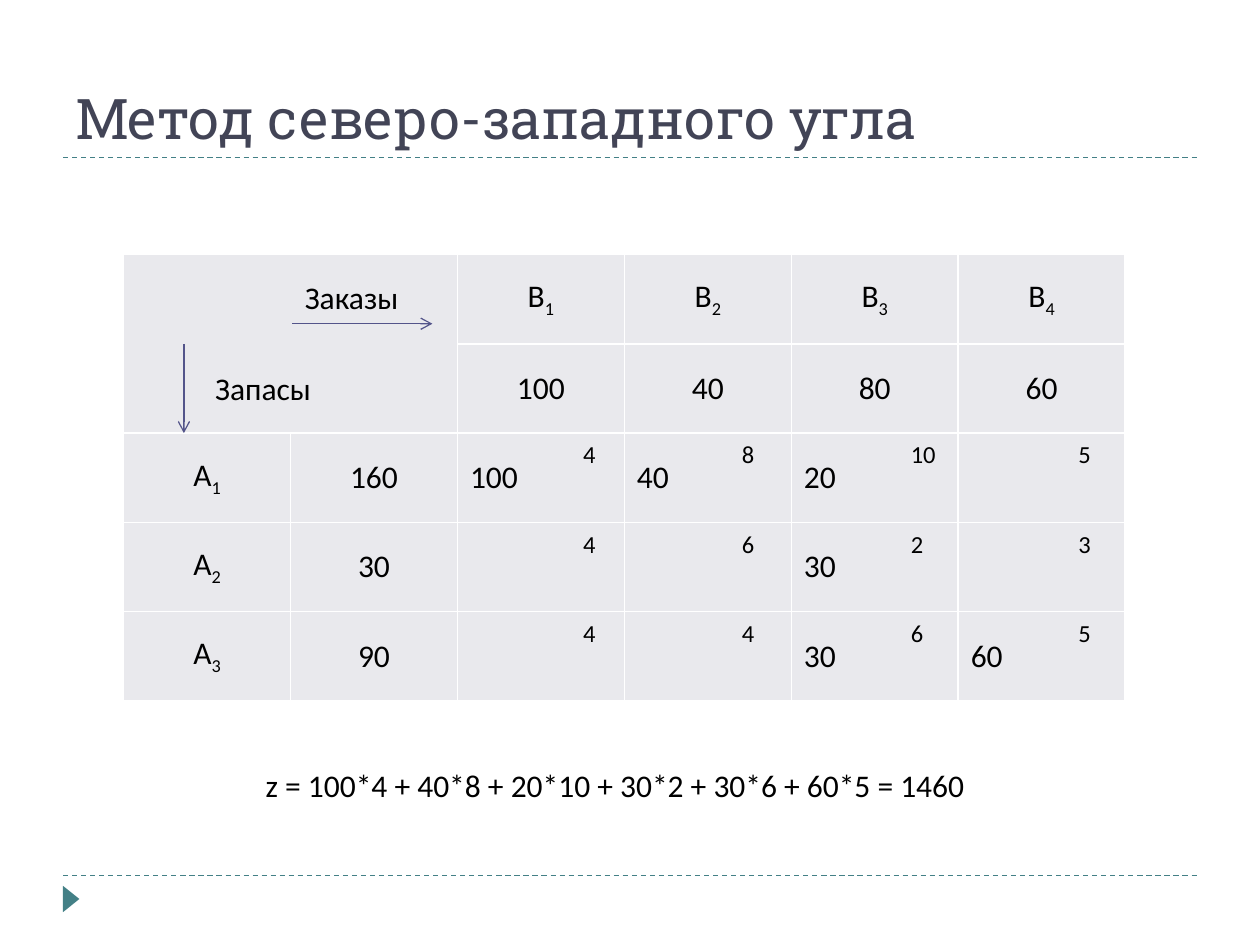
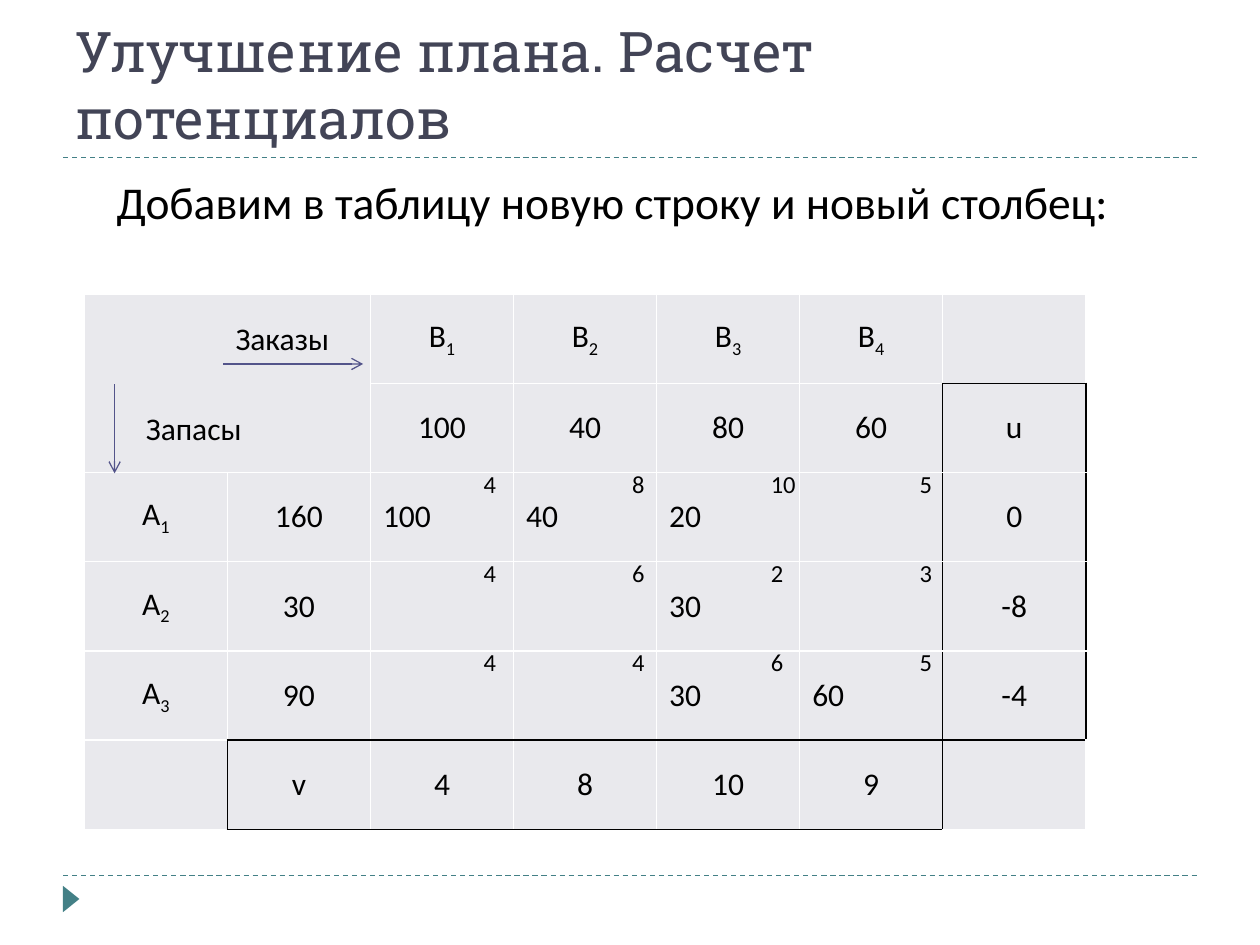
from pptx import Presentation
from pptx.dml.color import RGBColor
from pptx.enum.dml import MSO_LINE
from pptx.enum.shapes import MSO_CONNECTOR, MSO_SHAPE
from pptx.enum.text import MSO_ANCHOR, MSO_AUTO_SIZE, PP_ALIGN
from pptx.oxml import parse_xml
from pptx.oxml.ns import nsdecls
from pptx.util import Pt

TEAL = RGBColor(0x43, 0x80, 0x86)
SLATE = RGBColor(0x42, 0x44, 0x56)
INDIGO = RGBColor(0x53, 0x54, 0x8A)
GREY = RGBColor(0xE9, 0xE9, 0xED)
WHITE = RGBColor(0xFF, 0xFF, 0xFF)
BLACK = RGBColor(0, 0, 0)
LEFT, CENTER = PP_ALIGN.LEFT, PP_ALIGN.CENTER
TOP, MIDDLE, BOTTOM = MSO_ANCHOR.TOP, MSO_ANCHOR.MIDDLE, MSO_ANCHOR.BOTTOM
FIT, FIXED = MSO_AUTO_SIZE.SHAPE_TO_FIT_TEXT, MSO_AUTO_SIZE.NONE
DASH = MSO_LINE.DASH
STRAIGHT = MSO_CONNECTOR.STRAIGHT
TRIANGLE = MSO_SHAPE.ISOSCELES_TRIANGLE

ROW = 51
WIDTH = 572.4
SIDES = {"L": (0, -1), "R": (0, 1), "T": (-1, 0), "B": (1, 0)}
PLAN = [
    ["", "", "B_1", "B_2", "B_3", "B_4"],
    ["", "", "100", "40", "80", "60"],
    ["A_1", "160", "100", "40", "20", ""],
    ["A_2", "30", "", "", "30", ""],
    ["A_3", "90", "", "", "30", "60"],
]
COSTS = [[4, 8, 10, 5], [4, 6, 2, 3], [4, 4, 6, 5]]
U_COL = ["", "u", "0", "-8", "-4"]
V_ROW = ["", "v", "4", "8", "10", "9", ""]
U_BOX = (1, 6, 4, 6)
V_BOX = (5, 1, 5, 5)


def write(frame, text, size=18, font="Calibri", color=BLACK, align=LEFT):
    para = frame.paragraphs[0]
    para.alignment = align
    base, mark, index = text.partition("_")
    for part, low in ((base, False), (index, True)):
        if part:
            run = para.add_run()
            run.text = part
            run.font.size = Pt(size)
            run.font.name = font
            run.font.color.rgb = color
            if low:
                run._r.get_or_add_rPr().set("baseline", "-25000")
    return para


def label(slide, box, text, wrap=True, **style):
    frame = slide.shapes.add_textbox(*map(Pt, box)).text_frame
    frame.word_wrap = wrap
    frame.auto_size = FIT
    frame.vertical_anchor = TOP
    return write(frame, text, **style)


def rule(slide, ends, color, dash=None, arrow=False):
    line = slide.shapes.add_connector(STRAIGHT, *map(Pt, ends))
    line.line.color.rgb = color
    line.line.width = Pt(0.75)
    if dash:
        line.line.dash_style = dash
    if arrow:
        tail = parse_xml(f'<a:tailEnd {nsdecls("a")} type="arrow"/>')
        line.line._get_or_add_ln().append(tail)
    line._element.spPr.append(parse_xml(f'<a:effectLst {nsdecls("a")}/>'))


def start(deck, text):
    slide = deck.slides.add_slide(deck.slide_layouts[5])
    for y in (500.4, 90):
        rule(slide, (36, y, 684, y), TEAL, dash=DASH)
    mark = slide.shapes.add_shape(TRIANGLE, Pt(33.1), Pt(509), Pt(15.1), Pt(9.4))
    mark.rotation = 90
    mark.shadow.inherit = False
    mark.fill.solid()
    mark.fill.fore_color.rgb = TEAL
    mark.line.fill.background()
    title = slide.shapes.title
    title.left, title.top, title.width, title.height = map(Pt, (36, 12.2, 648, 77.8))
    frame = title.text_frame
    frame.word_wrap = True
    frame.auto_size = FIXED
    frame.vertical_anchor = BOTTOM
    write(frame, text, size=32, font="Roboto Slab", color=SLATE)
    return slide


def inside(box, row, col):
    return box[0] <= row <= box[2] and box[1] <= col <= box[3]


def border(cell, row, col, frames):
    props = cell._tc.get_or_add_tcPr()
    for side, (down, right) in SIDES.items():
        dark = any(
            inside(box, row, col) != inside(box, row + down, col + right)
            for box in frames
        )
        color = BLACK if dark else WHITE
        props.append(parse_xml(
            f'<a:ln{side} {nsdecls("a")} w="12700"><a:solidFill>'
            f'<a:srgbClr val="{color}"/></a:solidFill></a:ln{side}>'
        ))


def grid(slide, left, top, rows, frames=()):
    count = len(rows[0])
    box = (left, top, WIDTH, ROW * len(rows))
    table = slide.shapes.add_table(len(rows), count, *map(Pt, box)).table
    table.first_row = table.horz_banding = False
    for col in table.columns:
        col.width = Pt(WIDTH / count)
    for r, line in enumerate(rows):
        table.rows[r].height = Pt(ROW)
        for c, text in enumerate(line):
            cell = table.cell(r, c)
            border(cell, r, c, frames)
            cell.fill.solid()
            cell.fill.fore_color.rgb = GREY
            cell.vertical_anchor = MIDDLE
            plan = 2 <= r <= 4 and 2 <= c <= 5
            write(cell.text_frame, text, align=LEFT if plan else CENTER)
    table.cell(0, 0).merge(table.cell(1, 1))


def legend(slide, left, top):
    rule(slide, (left + 62, top + 29.5, left + 142, top + 29.5), INDIGO, arrow=True)
    label(slide, (left + 62, top, 68.4, 29), "Заказы", wrap=False)
    label(slide, (left + 10.8, top + 51.8, 69.8, 29), "Запасы", wrap=False)
    rule(slide, (left, top + 41, left, top + 92), INDIGO, arrow=True)


def prices(slide, top, lefts):
    for r, line in enumerate(COSTS):
        for left, cost in zip(lefts, line):
            label(slide, (left, top + r * ROW, 33.8, 24.2), str(cost), size=14)


def corner(deck):
    slide = start(deck, "Метод северо-западного угла")
    left, top = 70.6, 145.5
    grid(slide, left, top, PLAN)
    legend(slide, left + 34.5, top + 10)
    prices(slide, top + 102, (326.2, 416.9, 513.4, 609.1))
    label(slide, (144.7, 434.2, 430.6, 29),
          "z = 100*4 + 40*8 + 20*10 + 30*2 + 30*6 + 60*5 = 1460", wrap=False)


def improve(deck):
    slide = start(deck, "Улучшение плана. Расчет потенциалов")
    para = label(slide, (59.5, 95.8, 624.5, 46),
                 "Добавим в таблицу новую строку и новый столбец:", size=26)
    para.space_before = Pt(6)
    left, top = 48.2, 168
    rows = [line + [u] for line, u in zip(PLAN, U_COL)] + [V_ROW]
    grid(slide, left, top, rows, (U_BOX, V_BOX))
    prices(slide, top + 96.4, (269.3, 354.2, 433.4, 518.4))
    legend(slide, left + 17.3, top + 10.5)


def main():
    deck = Presentation()
    deck.slide_width, deck.slide_height = Pt(720), Pt(540)
    corner(deck)
    improve(deck)
    deck.save("out.pptx")


if __name__ == "__main__":
    main()
